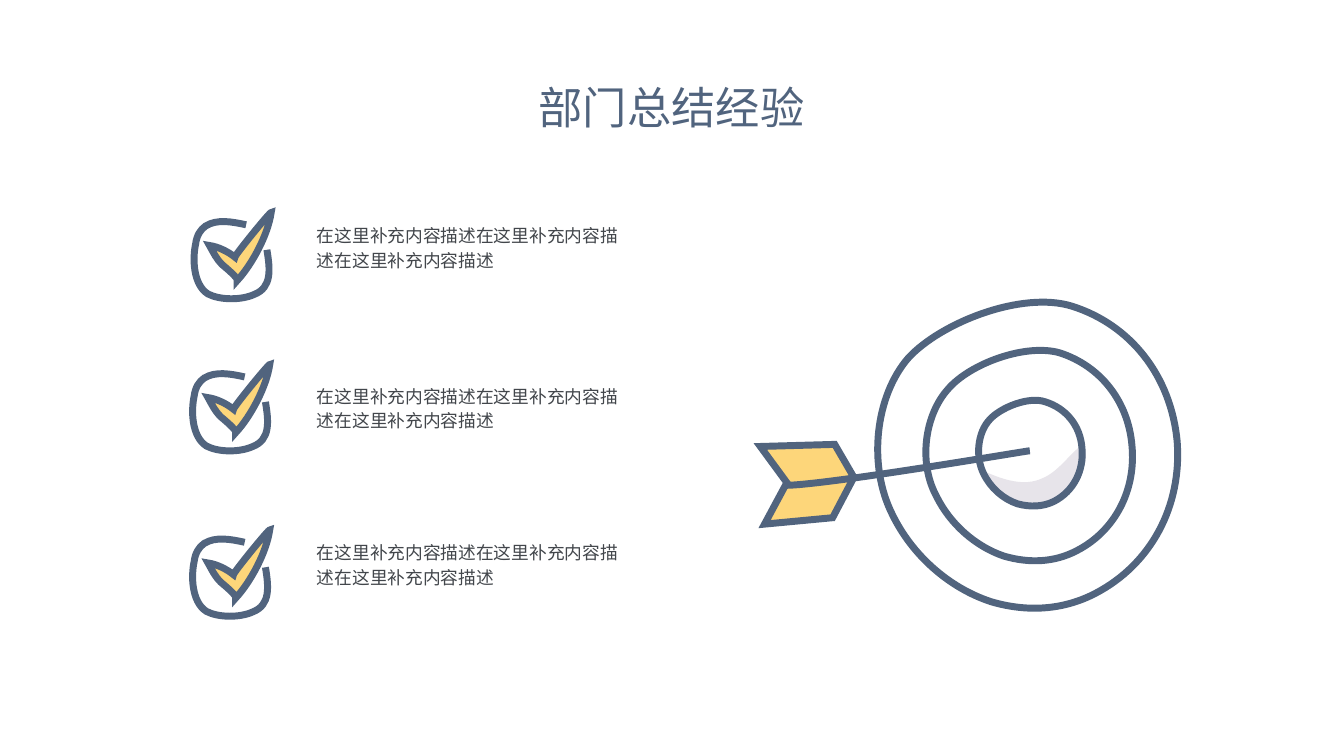
from lxml import etree
from pptx import Presentation
from pptx.dml.color import RGBColor
from pptx.enum.text import MSO_ANCHOR, MSO_AUTO_SIZE, PP_ALIGN
from pptx.oxml.ns import qn
from pptx.util import Pt

MIDDLE = MSO_ANCHOR.MIDDLE
FIT_SHAPE = MSO_AUTO_SIZE.SHAPE_TO_FIT_TEXT
LEFT, CENTER = PP_ALIGN.LEFT, PP_ALIGN.CENTER
SLATE = RGBColor(0x51, 0x64, 0x7E)
YELLOW = RGBColor(0xFD, 0xD6, 0x7A)
LILAC = RGBColor(0xE7, 0xE4, 0xEA)
CHARCOAL = RGBColor(0x42, 0x46, 0x4B)
FONT = "Noto Sans CJK SC"

TITLE = "部门总结经验"
ITEMS = [
    ("在这里补充内容描述在这里补充内容描述在这里补充内容描述", 149, (0, 0)),
    ("在这里补充内容描述在这里补充内容描述在这里补充内容描述", 257.8, (-1, 103)),
    ("在这里补充内容描述在这里补充内容描述在这里补充内容描述", 363.6, (-1, 215)),
]

GRID = 0.72
STROKE = 4.7

CHECK_BOX = [
    (231.5, 211.5), (218, 208.5, 204, 206, 193.5, 212.5),
    (188.5, 216, 185, 221.5, 184, 229.5), (181, 243, 181.5, 267.5, 195.5, 276.5),
    (207, 282.5, 227, 282.5, 239, 277), (256, 270.5, 254, 253, 251, 235),
]
TICK = [
    (255, 200), (255, 198, 220, 241, 221, 242), (215, 237, 205, 232, 197, 231),
    (201, 238, 203, 243, 209, 249), (210, 250, 225, 262, 223, 264),
    (237, 249, 252, 221, 255, 200),
]
FLETCHING = [(740, 454), (715, 420), (785, 418), (803, 449), (783, 487), (719, 493)]
BULLSEYE_SHADE = [
    (926, 447), (925, 458, 945, 470, 952, 473), (965, 479, 979, 479, 991, 473),
    (1006, 465, 1030, 436, 1018, 418), (1005, 428, 995, 444, 980, 450),
    (963, 458, 943, 451, 927, 444),
]
OUTER_RING = [
    (839, 483.5), (816, 437.5, 823, 372.5, 854.5, 336.5),
    (885, 303.5, 961, 273.5, 1008, 288), (1063.5, 305.5, 1101, 353.5, 1107, 414.5),
    (1112, 476.5, 1082, 531, 1030.5, 558), (1000, 574, 966, 576, 932, 566),
    (892.5, 553, 857.5, 522, 839, 483.5),
]
MIDDLE_RING = [
    (880.5, 466.5), (863.5, 435, 869.5, 390.5, 891.5, 366),
    (912, 342, 965, 322.5, 997, 332), (1035, 344.5, 1061, 377.5, 1064.5, 419),
    (1068.5, 461, 1048.5, 499.5, 1012.5, 518), (991.5, 529, 968, 530, 944, 523),
    (917.5, 514, 893.5, 493, 880.5, 466.5),
]
INNER_RING = [
    (925, 445.5), (917, 429.5, 919.5, 407, 930.5, 395),
    (940.5, 383.5, 967.5, 372.5, 983, 378), (1002.5, 384, 1016, 400.5, 1017.5, 421.5),
    (1019.5, 443, 1009.5, 462, 991.5, 471.5), (980.5, 477, 968.5, 477, 957, 474),
    (943.5, 469.5, 931.5, 459, 925, 445.5),
]
ARROW_SHAFT = [(740, 456.5), (782, 455.5, 966, 424, 968.5, 424)]

CHECK_ICON = [(CHECK_BOX, None, SLATE, False), (TICK, YELLOW, SLATE, True)]
TARGET = [
    (BULLSEYE_SHADE, LILAC, None, True),
    (OUTER_RING, None, SLATE, True),
    (MIDDLE_RING, None, SLATE, True),
    (INNER_RING, None, SLATE, True),
    (FLETCHING, YELLOW, SLATE, True),
    (ARROW_SHAFT, None, SLATE, False),
]


def bend_segments(shape, outline):
    lines = list(shape._element.iter(qn("a:lnTo")))
    for segment in outline[1:]:
        count = len(segment) // 2
        group, lines = lines[:count], lines[count:]
        if count == 3:
            curve = etree.Element(qn("a:cubicBezTo"))
            group[0].addprevious(curve)
            for line in group:
                curve.append(line[0])
                line.getparent().remove(line)


def draw_outline(page, outline, fill, stroke, closed, offset):
    points = [
        (Pt(segment[i] * GRID + offset[0]), Pt(segment[i + 1] * GRID + offset[1]))
        for segment in outline for i in range(0, len(segment), 2)
    ]
    builder = page.shapes.build_freeform(*points[0])
    builder.add_line_segments(points[1:], close=closed)
    shape = builder.convert_to_shape()
    bend_segments(shape, outline)
    shape.shadow.inherit = False
    if fill is None:
        shape.fill.background()
    else:
        shape.fill.solid()
        shape.fill.fore_color.rgb = fill
    if stroke is None:
        shape.line.fill.background()
    else:
        shape.line.color.rgb = stroke
        shape.line.width = Pt(STROKE)
        line = shape._element.spPr.find(qn("a:ln"))
        etree.SubElement(line, qn("a:miter")).set("lim", "800000")


def draw_art(page, parts, offset=(0, 0)):
    for outline, fill, stroke, closed in parts:
        draw_outline(page, outline, fill, stroke, closed, offset)


def write_text(box, text, size, color, alignment):
    frame = box.text_frame
    frame.word_wrap = True
    frame.auto_size = FIT_SHAPE
    frame.vertical_anchor = MIDDLE
    frame.margin_left = frame.margin_right = frame.margin_top = frame.margin_bottom = 0
    para = frame.paragraphs[0]
    para.alignment = alignment
    para.line_spacing = 1.16
    para.space_before = Pt(0)
    span = para.add_run()
    span.text = text
    span.font.size = Pt(size)
    span.font.name = FONT
    span.font.color.rgb = color
    etree.SubElement(span.font._element, qn("a:ea")).set("typeface", FONT)


def main():
    deck = Presentation()
    deck.slide_width, deck.slide_height = Pt(910), Pt(512)
    page = deck.slides.add_slide(deck.slide_layouts[5])
    draw_art(page, TARGET)
    for text, top, offset in ITEMS:
        draw_art(page, CHECK_ICON, offset)
        box = page.shapes.add_textbox(Pt(214.6), Pt(top), Pt(211.7), Pt(35.3))
        write_text(box, text, 12, CHARCOAL, LEFT)
    title = page.shapes.title
    title.left, title.top, title.width, title.height = Pt(310.3), Pt(47.5), Pt(288.7), Pt(44)
    write_text(title, TITLE, 30, SLATE, CENTER)
    deck.save("out.pptx")


if __name__ == "__main__":
    main()
